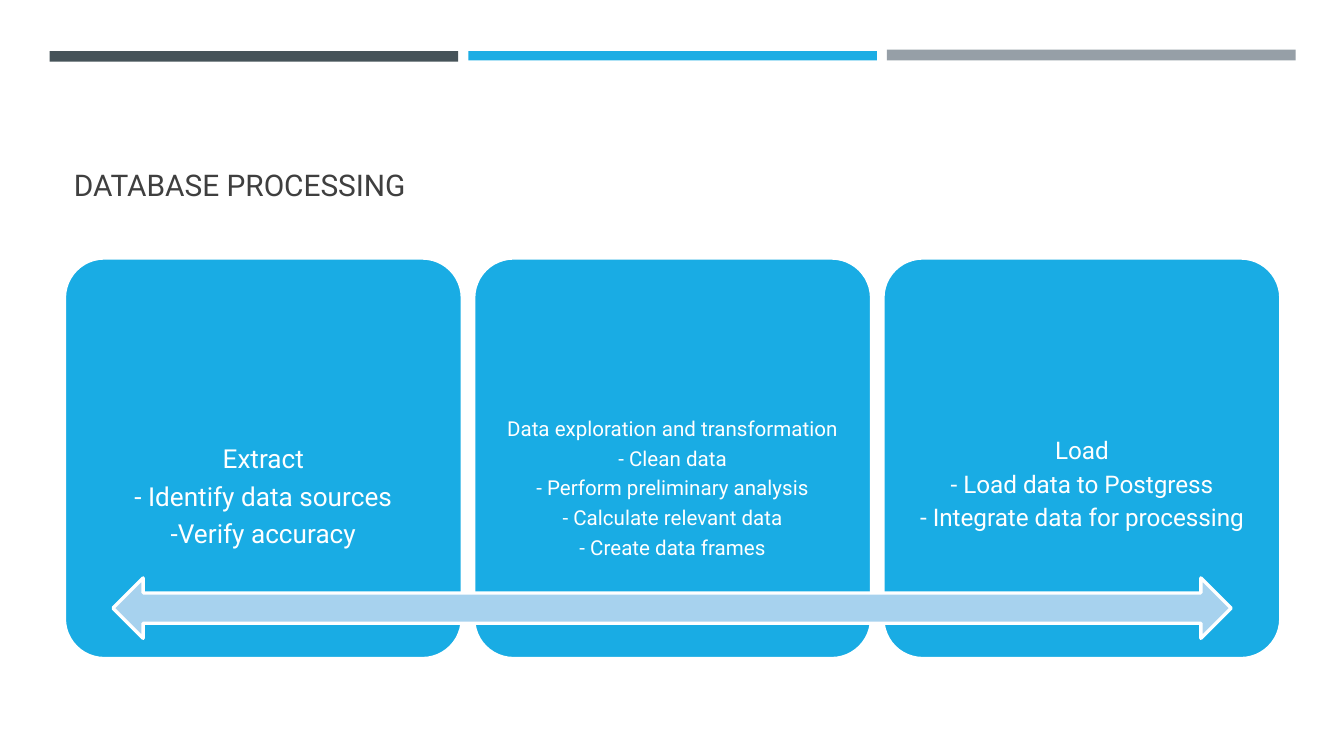
from pptx import Presentation
from pptx.dml.color import RGBColor
from pptx.enum import shapes, text
from pptx.util import Inches, Pt

SLATE = RGBColor(0x46, 0x53, 0x59)
SKY = RGBColor(0x1C, 0xAD, 0xE4)
GREY = RGBColor(0x96, 0x9F, 0xA7)
BLUE = RGBColor(0x19, 0xAC, 0xE4)
PALE = RGBColor(0xA7, 0xD2, 0xEE)
INK = RGBColor(0x3F, 0x3F, 0x3F)
WHITE = RGBColor(0xFF, 0xFF, 0xFF)
FONT = "Roboto"
KIND = shapes.MSO_SHAPE

deck = Presentation()
deck.slide_width = Inches(10)
deck.slide_height = Inches(10) * 9 // 16
slide = deck.slides.add_slide(deck.slide_layouts[6])


def add_shape(kind, box, fill, edge=None):
    shape = slide.shapes.add_shape(kind, *map(Inches, box))
    shape.shadow.inherit = False
    shape.fill.solid()
    shape.fill.fore_color.rgb = fill
    if edge is None:
        shape.line.fill.background()
    else:
        shape.line.color.rgb = edge
        shape.line.width = Pt(1.75)
    return shape


def add_text(box, lines, size, color, pads, anchor):
    """Add a text box; pads are left, top, right and bottom in inches."""
    frame = slide.shapes.add_textbox(*map(Inches, box)).text_frame
    frame.word_wrap = True
    frame.vertical_anchor = anchor
    (frame.margin_left, frame.margin_top,
     frame.margin_right, frame.margin_bottom) = map(Inches, pads)
    frame.text = "\n".join(lines)
    for para in frame.paragraphs:
        for run in para.runs:
            run.font.name = FONT
            run.font.size = Pt(size)
            run.font.color.rgb = color
    return frame


# Top bars, spread evenly over the full width
bar = 3.04
pitch = (9.27 - bar) / 2
for i, (top, high, fill) in enumerate(
        [(0.38, 0.08, SLATE), (0.38, 0.07, SKY), (0.37, 0.08, GREY)]):
    add_shape(KIND.RECTANGLE, (0.37 + i * pitch, top, bar, high), fill)

add_text((0.48, 0.58, 9.05, 0.97), ["DATABASE PROCESSING"], 16, INK,
         (0.07, 0.04, 0.07, 0.04), text.MSO_ANCHOR.BOTTOM)

# Step cards: font size, gap between lines, padding, extra space below, lines
steps = [
    (14, 5, 0.1, 0, ["Extract", "- Identify data sources", "-Verify accuracy"]),
    (11, 4, 0.08, 0.13, ["Data exploration and transformation", "- Clean data",
                         "- Perform preliminary analysis",
                         "- Calculate relevant data", "- Create data frames"]),
    (13, 4, 0.1, 0.19, ["Load", "- Load data to Postgress",
                        "- Integrate data for processing"]),
]
wide = 2.96
pitch = (9.05 - wide) / 2
for i, (size, gap, pad, lift, lines) in enumerate(steps):
    left = 0.48 + i * pitch
    card = add_shape(KIND.ROUNDED_RECTANGLE, (left, 1.92, wide, 2.98), BLUE, WHITE)
    card.adjustments[0] = 0.1
    frame = add_text((left, 3.11, wide, 1.19), lines, size, WHITE,
                     (pad, pad, pad, pad + lift), text.MSO_ANCHOR.MIDDLE)
    for n, para in enumerate(frame.paragraphs):
        para.alignment = text.PP_ALIGN.CENTER
        para.line_spacing = 0.9
        if n:
            para.space_before = Pt(gap)

add_shape(KIND.LEFT_RIGHT_ARROW, (0.84, 4.3, 8.32, 0.45), PALE, WHITE)

deck.save("out.pptx")
